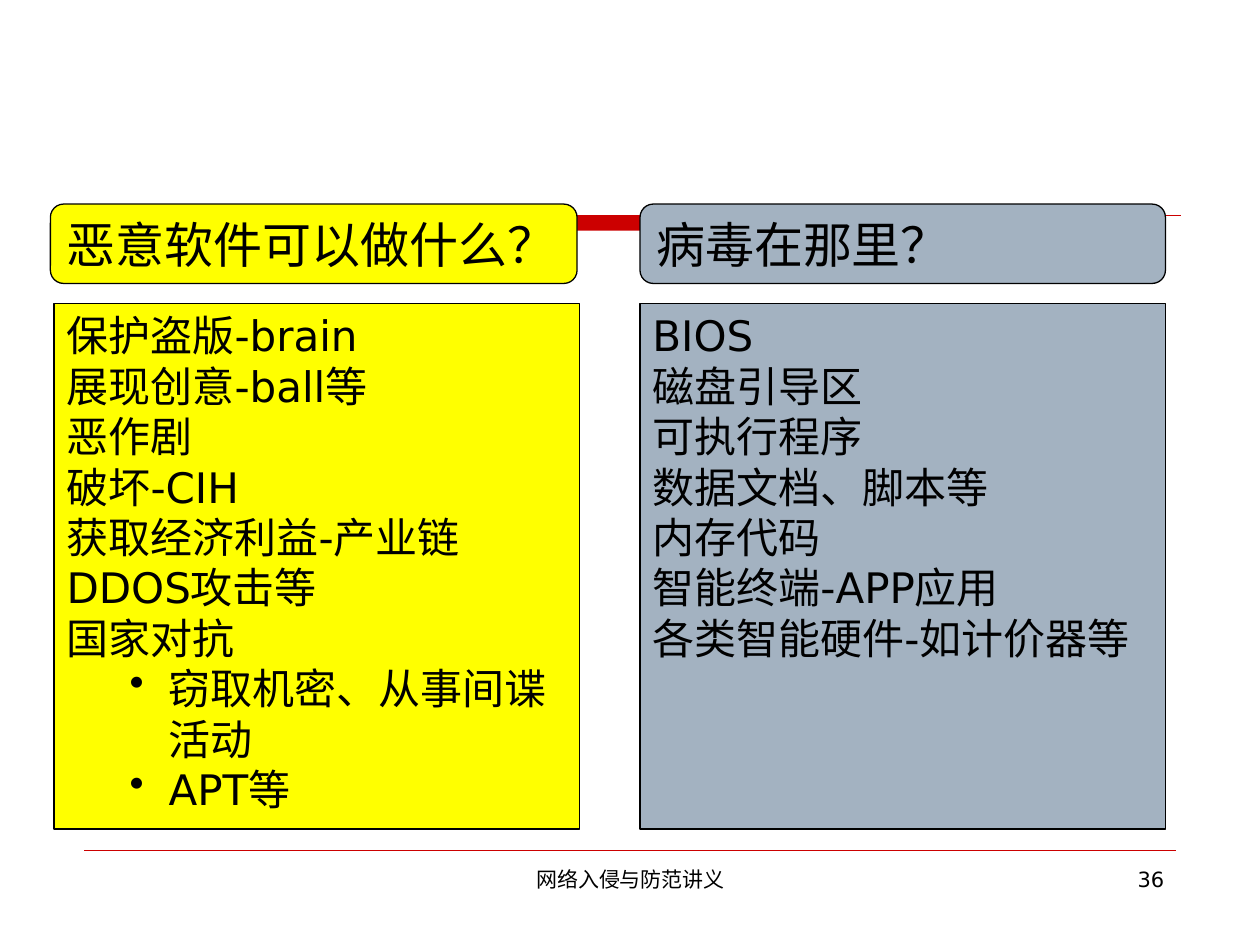
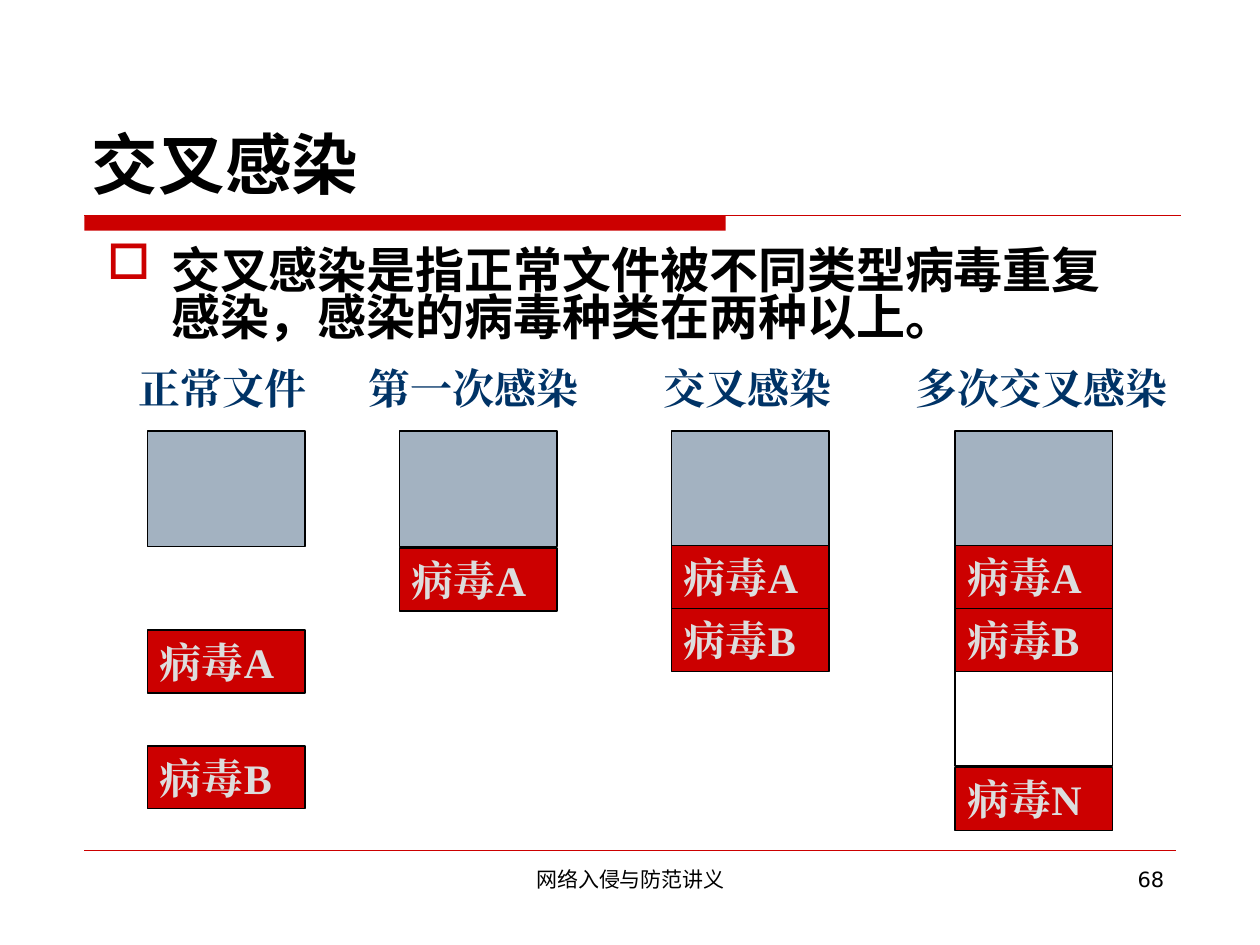
from dataclasses import dataclass
from typing import Optional

from lxml import etree
from pptx import Presentation
from pptx import util as u
from pptx.dml.color import RGBColor
from pptx.enum import shapes, text
from pptx.oxml import ns


@dataclass(frozen=True)
class Theme:
    red: str = "CC0000"
    yellow: str = "FFFF00"
    slate: str = "A3B2C1"
    navy: str = "003366"
    pale: str = "DDDDDD"
    black: str = "000000"
    sans: str = "DejaVu Sans"
    serif: str = "Times New Roman"
    heading: str = "Noto Sans CJK JP"
    body: str = "Noto Sans CJK SC"
    title_pt: int = 38
    heading_pt: int = 28
    text_pt: int = 24
    footer_pt: int = 12


T = Theme()
FOOTER = "网络入侵与防范讲义"
Align = text.PP_ALIGN
Anchor = text.MSO_ANCHOR
Shape = shapes.MSO_SHAPE


@dataclass(frozen=True)
class Box:
    left: float
    top: float
    width: float
    height: float

    def lengths(self) -> tuple:
        return tuple(u.Inches(v) for v in (self.left, self.top, self.width, self.height))


@dataclass(frozen=True)
class Style:
    font: str
    size: int
    color: str = T.black
    bold: bool = False
    align: Align = Align.LEFT


@dataclass(frozen=True)
class Panel:
    heading: str
    color: str
    heading_box: Box
    list_box: Box
    lines: tuple
    bullets: tuple = ()


@dataclass(frozen=True)
class Stage:
    """One column: a host file and the viruses with their top edges."""
    label: str
    label_left: float
    label_width: float
    left: float
    viruses: tuple = ()
    gap_top: Optional[float] = None


TITLE = Style(T.sans, T.title_pt, bold=True)
HEADING = Style(T.heading, T.heading_pt)
LIST = Style(T.sans, T.text_pt)
DEFINITION = Style(T.body, T.heading_pt, bold=True)
LABEL = Style(T.serif, T.text_pt, T.navy, True)
VIRUS = Style(T.serif, T.text_pt, T.pale, True)
FOOT = Style(T.sans, T.footer_pt, align=Align.CENTER)
NUMBER = Style(T.sans, T.footer_pt, align=Align.RIGHT)

PANELS = (
    Panel("恶意软件可以做什么？", T.yellow, Box(0.4, 1.62, 4.18, 0.63), Box(0.43, 2.41, 4.17, 4.17),
          ("保护盗版-brain", "展现创意-ball等", "恶作剧", "破坏-CIH",
           "获取经济利益-产业链", "DDOS攻击等", "国家对抗"),
          ("窃取机密、从事间谍活动", "APT等")),
    Panel("病毒在那里？", T.slate, Box(5.08, 1.62, 4.17, 0.63), Box(5.08, 2.41, 4.17, 4.17),
          ("BIOS", "磁盘引导区", "可执行程序", "数据文档、脚本等",
           "内存代码", "智能终端-APP应用", "各类智能硬件-如计价器等")),
)

BLOCK_W, FILE_H, VIRUS_H, GAP_H = 1.25, 0.92, 0.5, 0.75
FILE_TOP = 3.42
STAGES = (
    Stage("正常文件", 1, 1.67, 1.17, (("病毒A", 5), ("病毒B", 5.92))),
    Stage("第一次感染", 2.83, 2, 3.17, (("病毒A", 4.35),)),
    Stage("交叉感染", 5.17, 1.67, 5.33, (("病毒A", 4.33), ("病毒B", 4.83))),
    Stage("多次交叉感染", 7.17, 2.33, 7.58,
          (("病毒A", 4.33), ("病毒B", 4.83), ("病毒N", 6.09)), gap_top=5.33),
)


def rgb(color: str) -> RGBColor:
    return RGBColor.from_string(color)


# Text helpers
def write(tf, lines: tuple, style: Style, anchor: Anchor = Anchor.TOP) -> None:
    tf.word_wrap = True
    tf.auto_size = text.MSO_AUTO_SIZE.NONE
    tf.vertical_anchor = anchor
    tf.text = "\n".join(lines)
    for p in tf.paragraphs:
        p.alignment = style.align
        for r in p.runs:
            f = r.font
            f.name, f.size, f.bold = style.font, u.Pt(style.size), style.bold
            f.color.rgb = rgb(style.color)
            ea = etree.SubElement(r._r.get_or_add_rPr(), ns.qn("a:ea"))
            ea.set("typeface", style.font)


def add_bullet(p, char: str, color: str, margin: float, hang: float) -> None:
    pPr = p._p.get_or_add_pPr()
    pPr.set("marL", str(u.Inches(margin)))
    pPr.set("indent", str(-u.Inches(hang)))
    clr = etree.SubElement(pPr, ns.qn("a:buClr"))
    etree.SubElement(clr, ns.qn("a:srgbClr")).set("val", color)
    etree.SubElement(pPr, ns.qn("a:buChar")).set("char", char)


def add_text(s, box: Box, line: str, style: Style):
    sp = s.shapes.add_textbox(*box.lengths())
    write(sp.text_frame, (line,), style)
    return sp


# Shape helpers
def add_block(s, box: Box, fill: Optional[str], line: Optional[str] = T.black,
              kind: Shape = Shape.RECTANGLE):
    sp = s.shapes.add_shape(kind, *box.lengths())
    sp.shadow.inherit = False
    if fill:
        sp.fill.solid()
        sp.fill.fore_color.rgb = rgb(fill)
    else:
        sp.fill.background()
    if line:
        sp.line.color.rgb = rgb(line)
        sp.line.width = u.Pt(0.75)
    else:
        sp.line.fill.background()
    return sp


def add_rule(s, left: float, right: float, top: float, width: float) -> None:
    y = u.Inches(top)
    c = s.shapes.add_connector(shapes.MSO_CONNECTOR.STRAIGHT, u.Inches(left), y, u.Inches(right), y)
    c.line.color.rgb = rgb(T.red)
    c.line.width = u.Pt(width)
    etree.SubElement(c._element.spPr, ns.qn("a:effectLst"))


# Shared frame: red band, rules, footer and optional title
def add_slide(prs, number: int, title: Optional[str] = None):
    s = prs.slides.add_slide(prs.slide_layouts[5 if title else 6])
    add_block(s, Box(0.67, 1.71, 5.09, 0.12), T.red, None)
    add_rule(s, 0.67, 9.37, 1.71, 0.75)
    add_rule(s, 0.67, 9.33, 6.75, 0.25)
    if title:
        sp = s.shapes.title
        sp.left, sp.top, sp.width, sp.height = Box(0.63, 0.33, 8.75, 1.33).lengths()
        write(sp.text_frame, (title,), TITLE, Anchor.BOTTOM)
    add_text(s, Box(3.42, 6.83, 3.17, 0.52), FOOTER, FOOT)
    add_text(s, Box(7.17, 6.83, 2.17, 0.52), str(number), NUMBER)
    return s


def build_malware(prs) -> None:
    s = add_slide(prs, 36)
    for panel in PANELS:
        sp = add_block(s, panel.list_box, panel.color)
        write(sp.text_frame, panel.lines + panel.bullets, LIST)
        for p in sp.text_frame.paragraphs[len(panel.lines):]:
            p.level = 1
            add_bullet(p, "•", T.black, 0.81, 0.31)
        sp = add_block(s, panel.heading_box, panel.color, kind=Shape.ROUNDED_RECTANGLE)
        write(sp.text_frame, (panel.heading,), HEADING)


def build_cross_infection(prs) -> None:
    s = add_slide(prs, 68, "交叉感染")
    # Definition
    sp = add_text(s, Box(0.75, 1.94, 8.42, 1.5),
                  "交叉感染是指正常文件被不同类型病毒重复感染，感染的病毒种类在两种以上。", DEFINITION)
    p = sp.text_frame.paragraphs[0]
    p.line_spacing, p.space_before = 0.8, u.Pt(7)
    add_bullet(p, "□", T.red, 0.51, 0.51)
    # Infection stages
    for stage in STAGES:
        add_text(s, Box(stage.label_left, 2.83, stage.label_width, 0.5), stage.label, LABEL)
        add_block(s, Box(stage.left, FILE_TOP, BLOCK_W, FILE_H), T.slate)
        for name, top in stage.viruses:
            sp = add_block(s, Box(stage.left, top, BLOCK_W, VIRUS_H), T.red)
            write(sp.text_frame, (name,), VIRUS)
        if stage.gap_top:
            add_block(s, Box(stage.left, stage.gap_top, BLOCK_W, GAP_H), None)


def main() -> None:
    prs = Presentation()
    prs.slide_width, prs.slide_height = u.Inches(10), u.Inches(7.5)
    build_malware(prs)
    build_cross_infection(prs)
    prs.save("out.pptx")


if __name__ == "__main__":
    main()
